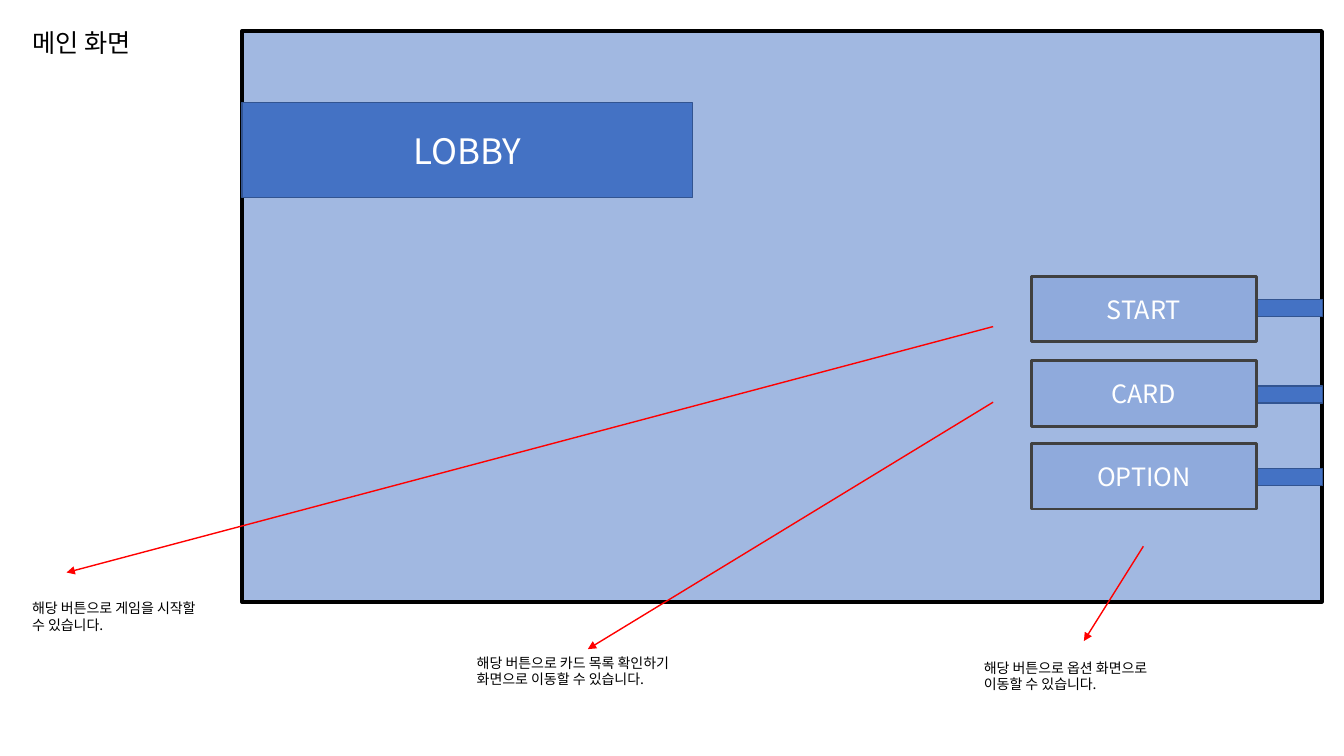
"""Build the main screen wireframe slide of a card game."""
import dataclasses
import typing

import lxml.etree
import pptx
import pptx.dml.color
import pptx.enum.shapes
import pptx.enum.text
import pptx.oxml.ns
import pptx.util

WIDE, HIGH = pptx.util.Inches(13.33), pptx.util.Inches(7.5)
COLS, ROWS = 133.3, 75
FONT = "Noto Sans CJK KR"
HUES = {
    "blue": "4472C4",
    "edge": "325491",
    "pale": "8FAADC",
    "grey": "404040",
    "black": "000000",
    "white": "FFFFFF",
    "red": "FF0000",
}
ALIGN = pptx.enum.text.PP_ALIGN
ANCHOR = pptx.enum.text.MSO_ANCHOR
qn = pptx.oxml.ns.qn


@dataclasses.dataclass
class Box:
    left: float
    top: float
    width: float
    height: float
    fill: str = "blue"
    edge: str = "edge"
    line: float = 1
    text: str = ""
    size: float = 18
    alpha: int = 100


@dataclasses.dataclass
class Note:
    left: float
    top: float
    width: float
    lines: list[str]


@dataclasses.dataclass
class Arrow:
    start: tuple[float, float]
    end: tuple[float, float]


def col(count: float) -> int:
    return round(WIDE * count / COLS)


def row(count: float) -> int:
    return round(HIGH * count / ROWS)


def hue(name: str) -> pptx.dml.color.RGBColor:
    return pptx.dml.color.RGBColor.from_string(HUES[name])


def write(frame: typing.Any, lines: list[str], size: float, tint: str, align: typing.Any) -> None:
    for spot, line in enumerate(lines):
        para = frame.add_paragraph() if spot else frame.paragraphs[0]
        para.alignment = align
        run = para.add_run()
        run.text = line
        run.font.size = pptx.util.Pt(size)
        run.font.color.rgb = hue(tint)
        run.font.name = FONT
        lxml.etree.SubElement(run._r.get_or_add_rPr(), qn("a:ea"), typeface=FONT)


def draw_title(slide: typing.Any, text: str) -> None:
    title = slide.shapes.title
    title.left, title.top = col(2.2), row(2.2)
    title.width, title.height = col(13), row(4)
    frame = title.text_frame
    frame.word_wrap = False
    frame.auto_size = pptx.enum.text.MSO_AUTO_SIZE.SHAPE_TO_FIT_TEXT
    frame.vertical_anchor = ANCHOR.TOP
    write(frame, [text], 18, "black", ALIGN.LEFT)


def draw_box(slide: typing.Any, box: Box) -> None:
    shape = slide.shapes.add_shape(
        pptx.enum.shapes.MSO_SHAPE.RECTANGLE,
        col(box.left), row(box.top), col(box.width), row(box.height),
    )
    shape.shadow.inherit = False
    shape.fill.solid()
    shape.fill.fore_color.rgb = hue(box.fill)
    shape.line.color.rgb = hue(box.edge)
    shape.line.width = pptx.util.Pt(box.line)
    if box.alpha < 100:
        tint = shape._element.spPr.find(qn("a:solidFill"))[0]
        lxml.etree.SubElement(tint, qn("a:alpha"), val=str(box.alpha * 1000))
    if box.text:
        shape.text_frame.vertical_anchor = ANCHOR.MIDDLE
        write(shape.text_frame, [box.text], box.size, "white", ALIGN.CENTER)


def draw_note(slide: typing.Any, note: Note) -> None:
    shape = slide.shapes.add_textbox(col(note.left), row(note.top), col(note.width), row(4.4))
    frame = shape.text_frame
    frame.word_wrap = True
    frame.auto_size = pptx.enum.text.MSO_AUTO_SIZE.SHAPE_TO_FIT_TEXT
    write(frame, note.lines, 10, "black", ALIGN.LEFT)


def draw_arrow(slide: typing.Any, arrow: Arrow) -> None:
    (left, top), (right, low) = arrow.start, arrow.end
    link = slide.shapes.add_connector(
        pptx.enum.shapes.MSO_CONNECTOR.STRAIGHT, col(left), row(top), col(right), row(low)
    )
    link.line.color.rgb = hue("red")
    link.line.width = pptx.util.Pt(1)
    lxml.etree.SubElement(link.line._get_or_add_ln(), qn("a:tailEnd"), type="triangle")
    lxml.etree.SubElement(link._element.spPr, qn("a:effectLst"))


PANELS = [
    Box(24, 3.1, 107.1, 56.6, edge="black", line=3, alpha=50),
    Box(24, 10.2, 44.7, 9.4, text="LOBBY", size=25),
]
BARS = [Box(114.4, top, 16.8, 1.7) for top in (29.7, 38.3, 46.5)]
KEYS = [
    Box(102.3, top, 22.3, 6.5, "pale", "grey", 2, text)
    for top, text in ((27.4, "START"), (35.8, "CARD"), (44, "OPTION"))
]
NOTES = [
    Note(2.2, 59, 22.3, ["해당 버튼으로 게임을 시작할", "수 있습니다."]),
    Note(46.3, 64.4, 24, ["해당 버튼으로 카드 목록 확인하기 화면으로 이동할 수 있습니다."]),
    Note(96.6, 64.9, 24, ["해당 버튼으로 옵션 화면으로", "이동할 수 있습니다."]),
]
ARROWS = [
    Arrow((98.5, 32.4), (6.6, 56.8)),
    Arrow((98.5, 39.9), (58.3, 64.4)),
    Arrow((113.4, 54.2), (107.5, 63.6)),
]


def main() -> None:
    deck = pptx.Presentation()
    deck.slide_width, deck.slide_height = WIDE, HIGH
    slide = deck.slides.add_slide(deck.slide_layouts.get_by_name("Title Only"))
    draw_title(slide, "메인 화면")
    for box in PANELS + BARS + KEYS:
        draw_box(slide, box)
    for note in NOTES:
        draw_note(slide, note)
    for arrow in ARROWS:
        draw_arrow(slide, arrow)
    deck.save("out.pptx")


if __name__ == "__main__":
    main()
